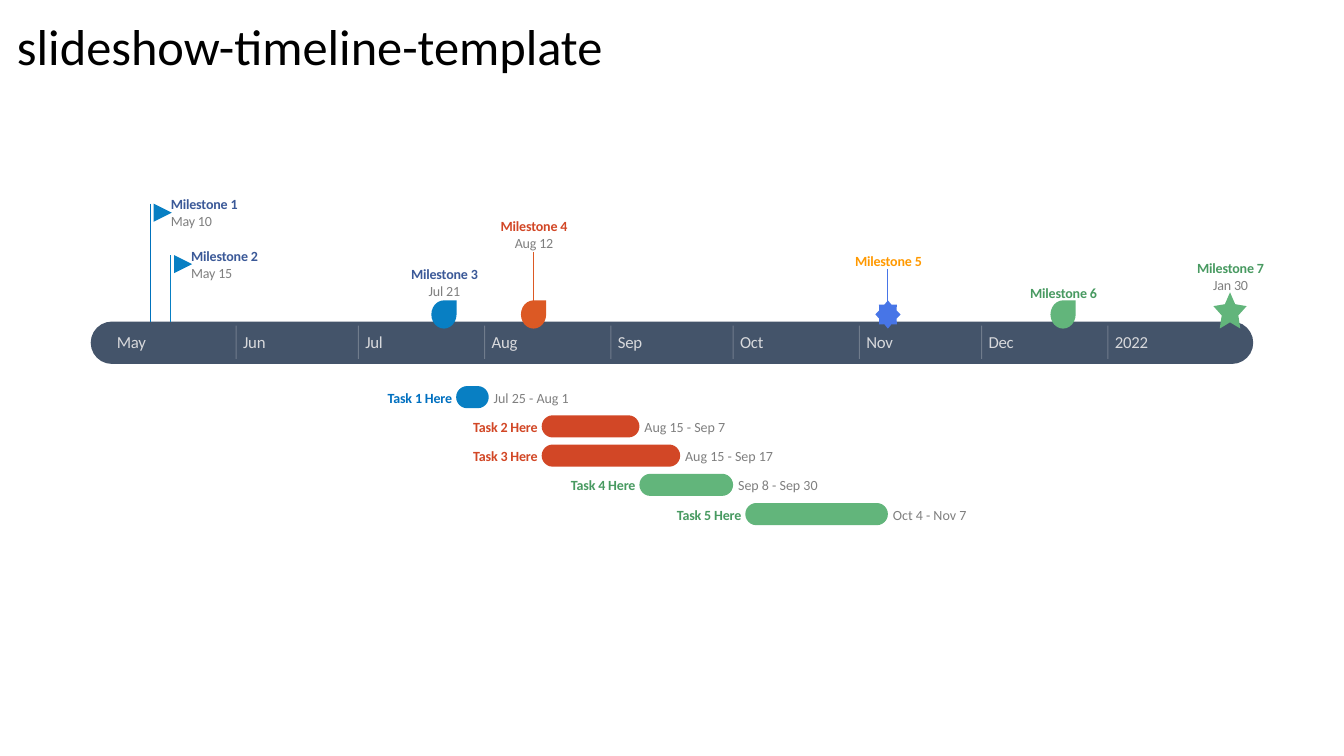
from itertools import accumulate

from lxml import etree
from pptx import Presentation
from pptx.dml.color import RGBColor
from pptx.enum.shapes import MSO_CONNECTOR, MSO_SHAPE
from pptx.enum.text import MSO_ANCHOR, PP_ALIGN
from pptx.oxml.ns import qn
from pptx.util import Inches, Pt

LEFT, CENTER, RIGHT = PP_ALIGN.LEFT, PP_ALIGN.CENTER, PP_ALIGN.RIGHT
MIDDLE, TOP = MSO_ANCHOR.MIDDLE, MSO_ANCHOR.TOP
STRAIGHT = MSO_CONNECTOR.STRAIGHT
ROUNDED = MSO_SHAPE.ROUNDED_RECTANGLE
FLAG = MSO_SHAPE.FLOWCHART_MERGE
TEARDROP = MSO_SHAPE.TEAR
BURST = MSO_SHAPE.STAR_8_POINT
STAR = MSO_SHAPE.STAR_5_POINT

COLORS = {
    "title": "000000", "axis": "44546A", "axis_text": "D8D9DC", "date": "7F7F7F",
    "blue": "087FC3", "stem_blue": "0072BC", "task_blue": "0070C0", "navy": "3B5998",
    "red": "D24726", "orange": "DC5924", "indigo": "4775E7", "amber": "FF9900",
    "green": "62B57B", "dark_green": "489A61",
}
FONT = "Calibri"
AXIS_BOX = (0.9, 3.19, 11.53, 0.42)
TASKS_BOX = (0.9, 3.83, 11.53, 1.38)
FIRST_DAY_INSET = 0.19
DAY_WIDTH = 0.0404
LINE_HEIGHT = 0.17
MONTHS = ["May", "Jun", "Jul", "Aug", "Sep", "Oct", "Nov", "Dec", "Jan"]
MONTH_LENGTHS = [31, 30, 31, 31, 30, 31, 30, 31]
MONTH_STARTS = dict(zip(MONTHS, accumulate(MONTH_LENGTHS, initial=0)))

FLAGS = [
    ("Milestone 1", "May 10", 2.02, "stem_blue"),
    ("Milestone 2", "May 15", 2.53, "blue"),
]
MARKERS = [
    ("Milestone 3", "Jul 21", True, 2.63, TEARDROP, "blue", "navy", False),
    ("Milestone 4", "Aug 12", True, 2.16, TEARDROP, "orange", "red", True),
    ("Milestone 5", "Nov 7", False, 2.5, BURST, "indigo", "amber", True),
    ("Milestone 6", "Dec 20", False, 2.82, TEARDROP, "green", "dark_green", False),
    ("Milestone 7", "Jan 30", True, 2.57, STAR, "green", "dark_green", False),
]
TASKS = [
    ("Task 1 Here", "Jul 25", "Aug 1", "blue", "task_blue"),
    ("Task 2 Here", "Aug 15", "Sep 7", "red", "red"),
    ("Task 3 Here", "Aug 15", "Sep 17", "red", "red"),
    ("Task 4 Here", "Sep 8", "Sep 30", "green", "dark_green"),
    ("Task 5 Here", "Oct 4", "Nov 7", "green", "dark_green"),
]


def color(name):
    """Return the palette colour with this name."""
    return RGBColor.from_string(COLORS[name])


def date_x(box, date, days_after=0):
    """Return the horizontal position where a date begins, moved by whole days."""
    month, day = date.split()
    days = MONTH_STARTS[month] + int(day) - 1 + days_after
    return box[0] + FIRST_DAY_INSET + days * DAY_WIDTH


def add_text(slide, box, text, size, color_name, align=LEFT, bold=False,
             spacing=0, inset=0, anchor=MIDDLE):
    """Add a one-line text box; spacing is in hundredths of a point."""
    shape = slide.shapes.add_textbox(*map(Inches, box))
    frame = shape.text_frame
    frame.word_wrap = True
    frame.vertical_anchor = anchor
    frame.margin_left = frame.margin_right = Inches(inset)
    frame.margin_top = frame.margin_bottom = Inches(inset / 2)
    paragraph = frame.paragraphs[0]
    paragraph.alignment = align
    run = paragraph.add_run()
    run.text = text
    if spacing:
        run._r.get_or_add_rPr().set("spc", str(spacing))
    paragraph.font.name = FONT
    paragraph.font.size = Pt(size)
    paragraph.font.bold = bold
    paragraph.font.color.rgb = color(color_name)


def add_shape(slide, kind, box, color_name):
    """Add a filled preset shape without outline or shadow."""
    shape = slide.shapes.add_shape(kind, *map(Inches, box))
    shape.shadow.inherit = False
    shape.fill.solid()
    shape.fill.fore_color.rgb = color(color_name)
    shape.line.fill.background()
    return shape


def add_vertical(slide, x, top, bottom, color_name, opacity=100):
    """Add a thin vertical line with an opacity in percent."""
    line = slide.shapes.add_connector(STRAIGHT, *map(Inches, (x, top, x, bottom)))
    line.line.width = Pt(0.75)
    line.line.color.rgb = color(color_name)
    properties = line._element.spPr
    etree.SubElement(properties, qn("a:effectLst"))
    if opacity < 100:
        alpha = etree.SubElement(properties.find(".//" + qn("a:srgbClr")), qn("a:alpha"))
        alpha.set("val", str(opacity * 1000))


def add_axis(slide, box):
    """Draw the rounded month band with its dividers and labels."""
    left, top, width, height = box
    add_shape(slide, ROUNDED, box, "axis").adjustments[0] = 0.5
    for month in MONTHS:
        x = date_x(box, f"{month} 1")
        if month != MONTHS[0]:
            add_vertical(slide, x, top + 0.04, top + height - 0.05, "axis_text", 30)
        label = "2022" if month == "Jan" else month
        add_text(slide, (x + 0.07, top + 0.1, 0.4, 0.2), label, 12, "axis_text", spacing=-20)


def add_milestone_label(slide, box, name, date, color_name, align):
    """Write a milestone name and, when given, its date one line below."""
    left, top, width, height = box
    add_text(slide, box, name, 10, color_name, align, True, -10)
    if date:
        add_text(slide, (left, top + height, width, height), date, 10, "date", align,
                 spacing=-10)


def add_flags(slide, box):
    """Draw the flag milestones standing on the axis box."""
    for name, date, top, stem_color in FLAGS:
        x = date_x(box, date, 1)
        add_vertical(slide, x, top, box[1], stem_color)
        add_shape(slide, FLAG, (x + 0.03, top, 0.18, 0.18), "blue").rotation = 270
        add_milestone_label(slide, (x + 0.2, top - 0.08, 0.69, LINE_HEIGHT), name, date,
                            "navy", LEFT)


def add_markers(slide, box):
    """Draw the milestones whose markers overlap the top of the axis box."""
    for name, date, date_shown, top, kind, fill, text_color, has_stem in MARKERS:
        x = date_x(box, date, 1)
        label_lines = 2 if date_shown else 1
        if has_stem:
            add_vertical(slide, x, top + label_lines * LINE_HEIGHT, box[1] - 0.07, fill)
        width, height = (0.33, 0.36) if kind == STAR else (0.25, 0.28)
        marker_top = box[1] + 0.07 - height
        marker = add_shape(slide, kind, (x - width / 2, marker_top, width, height), fill)
        if kind == STAR:
            marker.adjustments[0] = 0.25
        add_milestone_label(slide, (x - 0.34, top, 0.69, LINE_HEIGHT), name,
                            date if date_shown else None, text_color, CENTER)


def add_tasks(slide, box):
    """Draw one dated bar per task, in equal rows down the box."""
    bar_height = 0.22
    pitch = (box[3] - bar_height) / (len(TASKS) - 1)
    for row, (name, start, end, fill, text_color) in enumerate(TASKS):
        top = box[1] + row * pitch
        left, right = date_x(box, start), date_x(box, end, 1)
        bar = add_shape(slide, ROUNDED, (left, top, right - left, bar_height), fill)
        bar.adjustments[0] = 0.5
        label_top = top + 0.03
        add_text(slide, (left - 0.71, label_top, 0.67, LINE_HEIGHT), name, 10, text_color,
                 RIGHT, True, -10)
        add_text(slide, (right + 0.05, label_top, 0.9, LINE_HEIGHT), f"{start} - {end}", 10,
                 "date")


def main():
    """Build the timeline slide and save it."""
    presentation = Presentation()
    presentation.slide_width = Inches(13.33)
    presentation.slide_height = Inches(7.5)
    slide = presentation.slides.add_slide(presentation.slide_layouts[6])
    add_axis(slide, AXIS_BOX)
    add_flags(slide, AXIS_BOX)
    add_markers(slide, AXIS_BOX)
    add_tasks(slide, TASKS_BOX)
    add_text(slide, (0.07, 0.1, 8.09, 0.71), "slideshow-timeline-template", 36, "title",
             inset=0.1, anchor=TOP)
    presentation.save("out.pptx")


if __name__ == "__main__":
    main()
